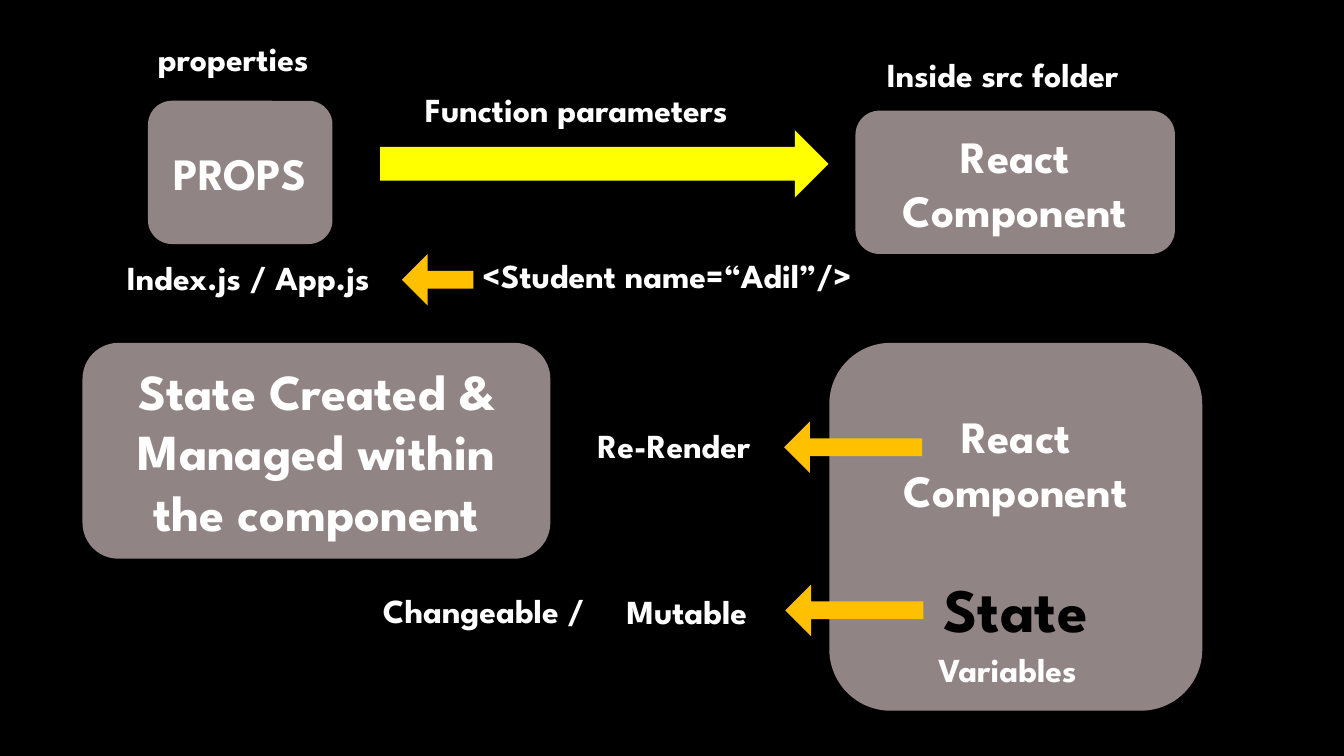
"""Build a slide that compares props and state in React components."""
from pptx import Presentation
from pptx.dml.color import RGBColor
from pptx.enum import shapes, text
from pptx.util import Cm, Pt

BLACK = RGBColor(0x00, 0x00, 0x00)
WHITE = RGBColor(0xFF, 0xFF, 0xFF)
TAUPE = RGBColor(0x91, 0x84, 0x85)
YELLOW = RGBColor(0xFF, 0xFF, 0x00)
ORANGE = RGBColor(0xFF, 0xC0, 0x00)

FONT = "League Spartan"
LABEL_SIZE = 24
LABEL_HEIGHT = 1.27
BLANK_LINE = 38.5

CARDS = [
    ((3.73, 2.54, 4.65, 3.61), [("PROPS", 32, WHITE)]),
    ((21.56, 2.79, 8.05, 3.61), [("React Component", 32, WHITE)]),
    ((2.08, 8.64, 11.79, 5.44),
     [("State Created & Managed within the component", 36, WHITE)]),
    ((20.9, 8.64, 9.4, 9.27),
     [("React Component", 32, WHITE), ("State", 44, BLACK)]),
]

RIGHT = shapes.MSO_SHAPE.RIGHT_ARROW
LEFT = shapes.MSO_SHAPE.LEFT_ARROW
ARROWS = [
    (RIGHT, (9.58, 3.28, 11.3, 1.7), YELLOW, 0.5),
    (LEFT, (10.13, 6.4, 1.8, 1.3), ORANGE, 0.342),
    (LEFT, (19.76, 10.62, 3.48, 1.3), ORANGE, 0.342),
    (LEFT, (19.79, 14.73, 3.48, 1.3), ORANGE, 0.342),
]

LABELS = [
    ("properties", 3.73, 0.84, 4.67),
    ("Inside src folder", 22.1, 1.24, 7.01),
    ("Function parameters", 10.46, 2.11, 9.02),
    ("Index.js / App.js", 2.95, 6.35, 7.16),
    ("<Student name=“Adil”/>", 11.91, 6.3, 10.64),
    ("Re-Render", 14.81, 10.57, 4.85),
    ("Changeable /", 9.4, 14.73, 6.4),
    ("Mutable", 15.54, 14.76, 3.94),
    ("Variables", 23.39, 16.23, 4.42),
]


def format_runs(paragraph, size, color):
    """Apply the slide's bold typeface to every run of a paragraph."""
    for run in paragraph.runs:
        run.font.name = FONT
        run.font.size = Pt(size)
        run.font.bold = True
        run.font.color.rgb = color


def add_filled_shape(slide, kind, box, color):
    """Add a flat preset shape without outline."""
    shape = slide.shapes.add_shape(kind, *map(Cm, box))
    shape.shadow.inherit = False
    shape.fill.solid()
    shape.fill.fore_color.rgb = color
    shape.line.fill.background()
    return shape


def add_card(slide, box, lines):
    """Add a rounded card with centred lines, one blank line apart."""
    kind = shapes.MSO_SHAPE.ROUNDED_RECTANGLE
    frame = add_filled_shape(slide, kind, box, TAUPE).text_frame
    frame.word_wrap = True
    frame.vertical_anchor = text.MSO_ANCHOR.MIDDLE
    frame.text = "\n".join(line[0] for line in lines)
    for paragraph, (_, size, color) in zip(frame.paragraphs, lines):
        paragraph.alignment = text.PP_ALIGN.CENTER
        format_runs(paragraph, size, color)
    for paragraph in frame.paragraphs[1:]:
        paragraph.space_before = Pt(BLANK_LINE)


def add_label(slide, wording, left, top, width):
    """Add a one-line white label."""
    box = map(Cm, (left, top, width, LABEL_HEIGHT))
    frame = slide.shapes.add_textbox(*box).text_frame
    frame.word_wrap = False
    frame.auto_size = text.MSO_AUTO_SIZE.SHAPE_TO_FIT_TEXT
    frame.vertical_anchor = text.MSO_ANCHOR.MIDDLE
    frame.text = wording
    format_runs(frame.paragraphs[0], LABEL_SIZE, WHITE)


def main():
    """Build and save the slide."""
    presentation = Presentation()
    presentation.slide_width = Cm(33.87)
    presentation.slide_height = Cm(19.05)
    slide = presentation.slides.add_slide(presentation.slide_layouts[6])
    slide.background.fill.solid()
    slide.background.fill.fore_color.rgb = BLACK

    for box, lines in CARDS:
        add_card(slide, box, lines)
    for kind, box, color, shaft in ARROWS:
        arrow = add_filled_shape(slide, kind, box, color)
        arrow.adjustments[0] = shaft
    for label in LABELS:
        add_label(slide, *label)

    presentation.save("out.pptx")


if __name__ == "__main__":
    main()
